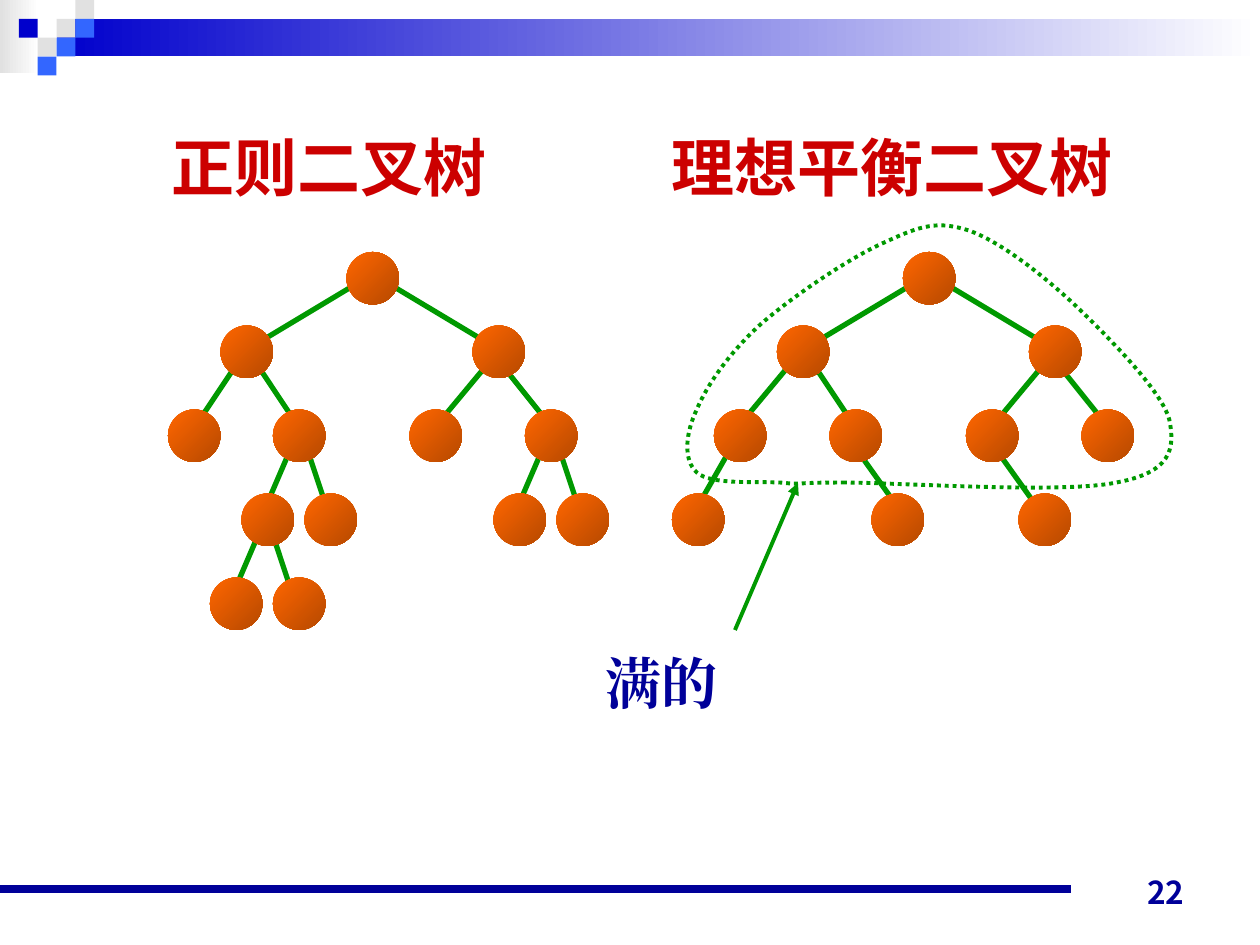
from typing import NamedTuple

from lxml import etree
from pptx import Presentation
from pptx.dml.color import RGBColor
from pptx.enum import dml, shapes, text
from pptx.oxml.ns import qn
from pptx.util import Cm, Pt

GREEN, NAVY, RED = "009900", "000099", "CC0000"
GRAY, BLUE, SKY = "E1E1E1", "0000CC", "3366FF"
SANS = "Noto Sans CJK JP"
LEFT, RIGHT, MID = text.PP_ALIGN.LEFT, text.PP_ALIGN.RIGHT, text.PP_ALIGN.CENTER


class Box(NamedTuple):
    x: float
    y: float
    w: float
    h: float


class Tile(NamedTuple):
    col: int
    row: int
    color: str


class Edge(NamedTuple):
    x1: float
    y1: float
    x2: float
    y2: float


class Label(NamedTuple):
    words: str
    box: Box
    size: int
    color: str
    font: str
    align: text.PP_ALIGN
    anchor: text.MSO_ANCHOR
    wrap: bool = True
    space: float = 1.0
    tab: float = 0


STEP = 0.38  # header tile side, cm
TILES = [Tile(3, 1, GRAY), Tile(4, 0, GRAY), Tile(4, 1, SKY), Tile(2, 2, GRAY),
         Tile(1, 1, BLUE), Tile(3, 2, SKY), Tile(2, 3, SKY)]

# Both trees lie on a grid of twelfths of an inch
UNIT = 2.54 / 12
SIDE = 5
NODES = {
    24: [33, 86],
    31: [21, 45, 74, 98],
    39: [16, 26, 39, 50, 68, 79, 92, 103],
    47: [23, 29, 47, 53, 64, 83, 97],
    55: [20, 26],
}
EDGES = [Edge(*e) for e in [
    (34, 27, 24, 33), (37, 27, 47, 33),
    (23, 34, 19, 40), (24, 34, 28, 40), (47, 34, 42, 40), (48, 35, 52, 40),
    (28, 42, 25, 49), (29, 42, 31, 48), (52, 42, 49, 49), (53, 42, 55, 48),
    (25, 50, 22, 57), (26, 51, 28, 57),
    (87, 27, 77, 33), (90, 27, 100, 33),
    (75, 35, 70, 41), (77, 34, 81, 40), (100, 34, 95, 40), (101, 35, 105, 40),
    (70, 42, 66, 49), (81, 42, 86, 49), (95, 43, 100, 50),
]]
ARROW = Edge(70, 60, 76, 46)

# Start point, then three Bezier points per curve, in hundredths of an inch
LOOP = [
    (669, 383),
    (714, 383), (843, 392), (886, 383), (929, 375), (933, 357), (928, 333),
    (922, 310), (879, 267), (853, 242), (826, 217), (794, 192), (769, 183),
    (744, 175), (731, 179), (703, 192), (675, 204), (628, 236), (603, 258),
    (578, 281), (561, 306), (553, 325), (544, 344), (542, 365), (553, 375),
    (564, 385), (599, 382), (619, 383), (640, 385), (625, 383), (669, 383),
]

LABELS = [
    Label("正则二叉树\t理想平衡二叉树", Box(3.2, 2.24, 20.52, 2), 36, RED, SANS,
          LEFT, text.MSO_ANCHOR.TOP, space=1.15, tab=10.08),
    Label("满的", Box(11.94, 12.95, 2.79, 1.6), 32, NAVY, "Times New Roman",
          MID, text.MSO_ANCHOR.MIDDLE, wrap=False),
    Label("22", Box(18.21, 17.22, 5.92, 1.27), 18, NAVY, SANS,
          RIGHT, text.MSO_ANCHOR.BOTTOM),
]


def rgb(code: str) -> RGBColor:
    return RGBColor.from_string(code)


def shape(slide, kind, box: Box, *colors: str, angle: float = 0):
    """Draw a borderless shape; two colours make a gradient."""
    item = slide.shapes.add_shape(kind, *map(Cm, box))
    item.shadow.inherit = False
    item.line.fill.background()
    if len(colors) == 1:
        item.fill.solid()
        item.fill.fore_color.rgb = rgb(colors[0])
    else:
        item.fill.gradient()
        item.fill.gradient_angle = angle
        for stop, code in zip(item.fill.gradient_stops, colors):
            stop.color.rgb = rgb(code)


def line(slide, edge: Edge, color: str, width: float, head: bool = False):
    item = slide.shapes.add_connector(shapes.MSO_CONNECTOR.STRAIGHT, *map(Cm, edge))
    item.line.color.rgb = rgb(color)
    item.line.width = Pt(width)
    if head:
        etree.SubElement(item.line._get_or_add_ln(), qn("a:tailEnd"), type="triangle")
    etree.SubElement(item._element.spPr, qn("a:effectLst"))


def grid(edge: Edge) -> Edge:
    return Edge(*(n * UNIT for n in edge))


def loop(slide):
    """Draw the dotted outline, turning each three segments into one curve."""
    form = slide.shapes.build_freeform(*LOOP[0], scale=Cm(0.0254))
    form.add_line_segments(LOOP[1:], close=True)
    item = form.convert_to_shape()
    item.shadow.inherit = False
    item.fill.background()
    item.line.color.rgb = rgb(GREEN)
    item.line.width = Pt(2.25)
    item.line.dash_style = dml.MSO_LINE.ROUND_DOT
    legs = list(item._element.iter(qn("a:lnTo")))
    for i in range(0, len(legs), 3):
        curve = etree.Element(qn("a:cubicBezTo"))
        legs[i].addprevious(curve)
        for leg in legs[i:i + 3]:
            curve.append(leg[0])
            leg.getparent().remove(leg)


def write(slide, label: Label):
    frame = slide.shapes.add_textbox(*map(Cm, label.box)).text_frame
    frame.word_wrap = label.wrap
    frame.vertical_anchor = label.anchor
    para = frame.paragraphs[0]
    para.text = label.words
    para.alignment = label.align
    para.line_spacing = label.space
    if label.tab:
        tabs = etree.SubElement(para._p.get_or_add_pPr(), qn("a:tabLst"))
        etree.SubElement(tabs, qn("a:tab"), pos=str(Cm(label.tab)), algn="l")
    font = para.font
    font.name = label.font
    font.size = Pt(label.size)
    font.bold = True
    font.color.rgb = rgb(label.color)
    etree.SubElement(font._element, qn("a:ea"), typeface=label.font)


def main():
    deck = Presentation()
    deck.slide_width, deck.slide_height = Cm(25.4), Cm(19.05)
    slide = deck.slides.add_slide(deck.slide_layouts[6])
    rect, oval = shapes.MSO_SHAPE.RECTANGLE, shapes.MSO_SHAPE.OVAL

    shape(slide, rect, Box(0, 0, 0.79, 1.47), GRAY, "FFFFFF")
    shape(slide, rect, Box(3 * STEP, STEP, 24.26, 2 * STEP), BLUE, "FFFFFF")
    for tile in TILES:
        shape(slide, rect, Box(tile.col * STEP, tile.row * STEP, STEP, STEP), tile.color)
    line(slide, Edge(0, 17.93, 21.59, 17.93), NAVY, 4.5)

    for edge in EDGES:
        line(slide, grid(edge), GREEN, 3)
    for y, row in NODES.items():
        for x in row:
            box = Box(x * UNIT, y * UNIT, SIDE * UNIT, SIDE * UNIT)
            shape(slide, oval, box, "FF6600", "B64900", angle=315)
    loop(slide)
    line(slide, grid(ARROW), GREEN, 2.25, head=True)
    for label in LABELS:
        write(slide, label)
    deck.save("out.pptx")


if __name__ == "__main__":
    main()
